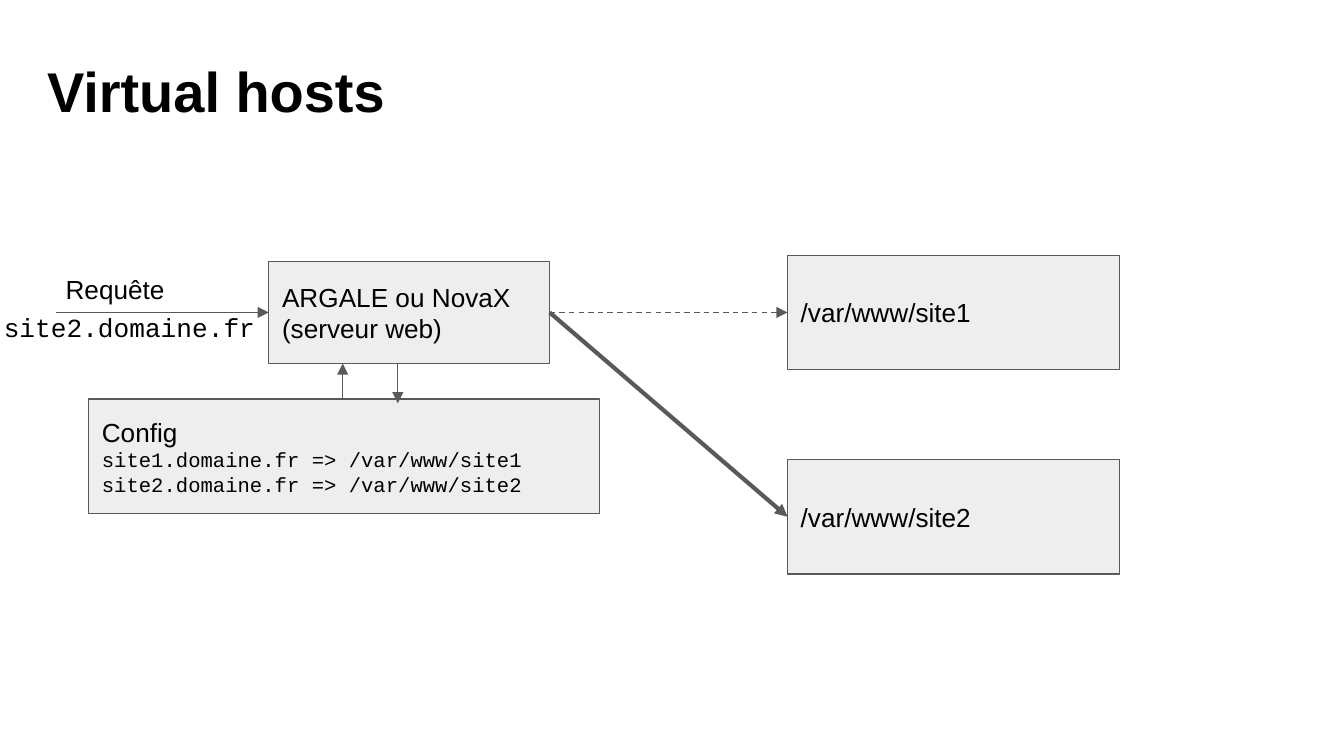
from pptx import Presentation
from pptx import util as u
from pptx.dml.color import RGBColor
from pptx.enum import dml, shapes, text
from pptx.oxml import ns
from lxml import etree

SANS, MONO = "Arial", "Courier New"
BLACK, GREY, PALE = "000000", "595959", "EEEEEE"
LEFT, RIGHT = 1, 3


def paint(color_format, value):
    color_format.rgb = RGBColor.from_string(value)


def write(frame, lines, anchor, bold=False):
    frame.word_wrap = True
    frame.auto_size = text.MSO_AUTO_SIZE.NONE
    frame.vertical_anchor = anchor
    frame.margin_left = frame.margin_right = u.Inches(0.1)
    frame.margin_top = frame.margin_bottom = u.Inches(0.1)
    for index, (words, size, font) in enumerate(lines):
        paragraph = frame.add_paragraph() if index else frame.paragraphs[0]
        paragraph.alignment = text.PP_ALIGN.LEFT
        run = paragraph.add_run()
        run.text = words
        run.font.size = u.Pt(size)
        run.font.name = font
        run.font.bold = bold
        paint(run.font.color, BLACK)


def add_heading(slide, box, words):
    heading = slide.shapes.title
    heading.left, heading.top, heading.width, heading.height = map(u.Inches, box)
    write(heading.text_frame, [(words, 30, SANS)], text.MSO_ANCHOR.TOP, bold=True)


def add_label(slide, box, words, font):
    label = slide.shapes.add_textbox(*map(u.Inches, box))
    write(label.text_frame, [(words, 14, font)], text.MSO_ANCHOR.TOP)


def add_node(slide, box, lines):
    node = slide.shapes.add_shape(shapes.MSO_SHAPE.RECTANGLE, *map(u.Inches, box))
    node.shadow.inherit = False
    node.fill.solid()
    paint(node.fill.fore_color, PALE)
    paint(node.line.color, GREY)
    node.line.width = u.Pt(0.75)
    write(node.text_frame, lines, text.MSO_ANCHOR.MIDDLE)
    return node


def add_arrow(slide, start=(0, 0), end=(0, 0), source=None, target=None,
              width=0.75, dashed=False):
    arrow = slide.shapes.add_connector(
        shapes.MSO_CONNECTOR.STRAIGHT, *map(u.Inches, (*start, *end)))
    if source:
        arrow.begin_connect(source, RIGHT)
    if target:
        arrow.end_connect(target, LEFT)
    paint(arrow.line.color, GREY)
    arrow.line.width = u.Pt(width)
    if dashed:
        arrow.line.dash_style = dml.MSO_LINE.DASH
    outline = arrow.line._get_or_add_ln()
    etree.SubElement(outline, ns.qn("a:tailEnd"), type="triangle")
    etree.SubElement(arrow._element.spPr, ns.qn("a:effectLst"))


def add_request(slide, left, axis, server):
    add_arrow(slide, start=(left + 0.49, axis), target=server)
    add_label(slide, (left + 0.46, axis - 0.39, 1.5, 0.36), "Requête", SANS)
    add_label(slide, (left, axis - 0.11, 2.35, 0.22), "site2.domaine.fr", MONO)


def add_config(slide, box, server_bottom):
    left, top, _, _ = box
    rules = [(f"{site}.domaine.fr => /var/www/{site}", 11, MONO)
             for site in ("site1", "site2")]
    add_node(slide, box, [("Config", 14, SANS), *rules])
    lookup, answer = left + 1.89, left + 2.3
    add_arrow(slide, (lookup, top), (lookup, server_bottom))
    add_arrow(slide, (answer, server_bottom), (answer, top + 0.03))


def add_sites(slide, box, pitch, server):
    left, top, width, height = box
    for index, chosen in enumerate((False, True)):
        site = add_node(slide, (left, top + index * pitch, width, height),
                        [(f"/var/www/site{index + 1}", 14, SANS)])
        add_arrow(slide, source=server, target=site,
                  width=2.25 if chosen else 0.75, dashed=not chosen)


def main():
    deck = Presentation()
    deck.slide_width = u.Inches(10)
    deck.slide_height = deck.slide_width * 9 // 16
    slide = deck.slides.add_slide(deck.slide_layouts[5])
    add_heading(slide, (0.25, 0.32, 5.6, 0.65), "Virtual hosts")

    site_top, site_height, server_height = 1.9, 0.85, 0.76
    axis = site_top + site_height / 2
    server = add_node(slide, (2, axis - server_height / 2, 2.09, server_height),
                      [("ARGALE ou NovaX", 14, SANS), ("(serveur web)", 14, SANS)])
    add_request(slide, -0.07, axis, server)
    add_config(slide, (0.66, 2.97, 3.8, 0.85), axis + server_height / 2)
    add_sites(slide, (5.86, site_top, 2.47, site_height), 1.52, server)
    deck.save("out.pptx")


if __name__ == "__main__":
    main()
